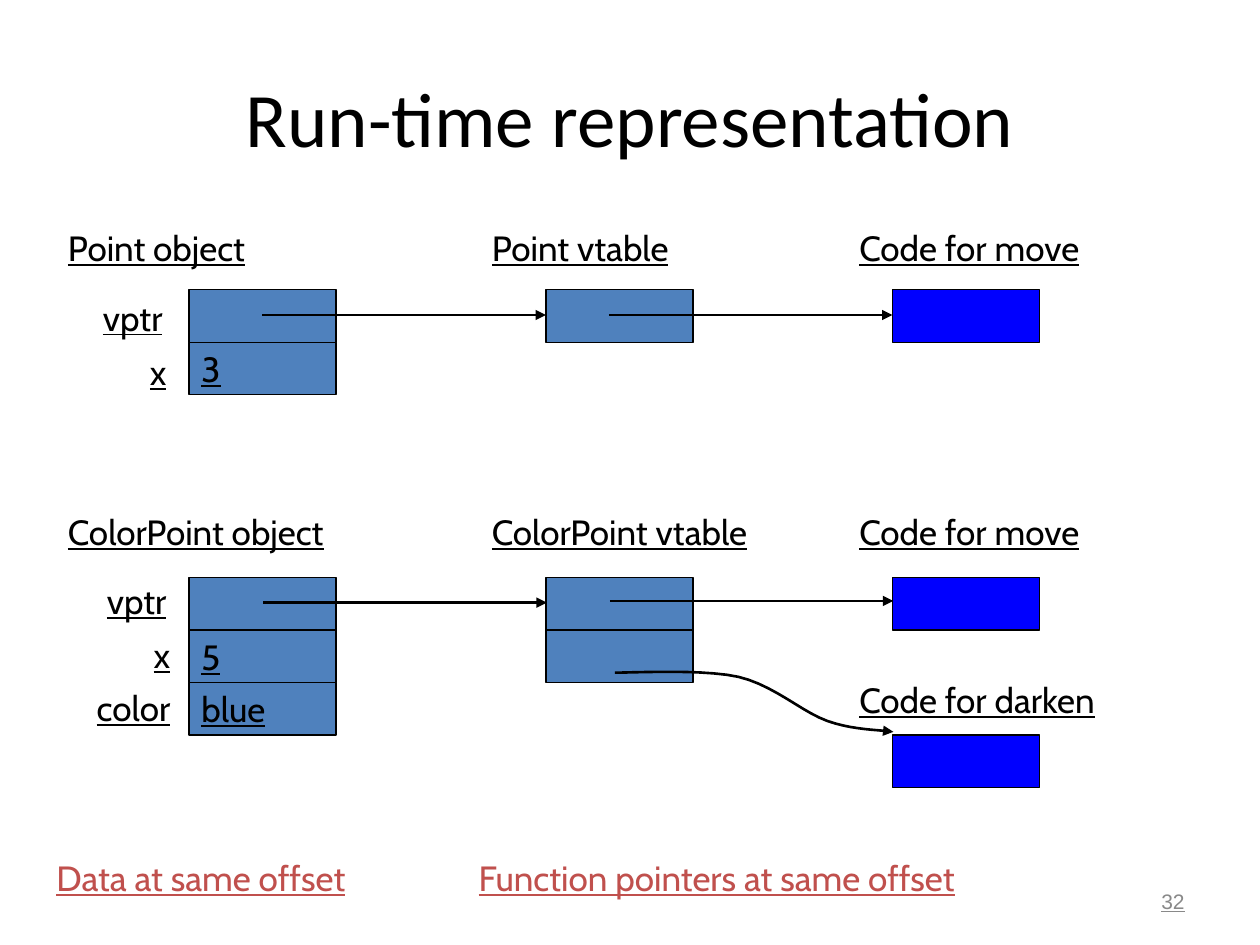
from lxml.etree import SubElement
from pptx import Presentation
from pptx.dml.color import RGBColor
from pptx.enum.shapes import MSO_CONNECTOR, MSO_SHAPE
from pptx.enum.text import MSO_ANCHOR, PP_ALIGN
from pptx.oxml.ns import qn
from pptx.util import Pt

COLORS = {
    "ink": "000000",
    "data": "4F81BD",
    "code": "0000FF",
    "note": "C0504D",
    "number": "898989",
}
CELL_WIDTH, CELL_HEIGHT = 84, 30
LABEL_HEIGHT = 32
OBJECT_X, VTABLE_X, CODE_X = 108, 312, 510
POINT_Y, COLOR_POINT_Y = 165.6, 330


def color(name):
    return RGBColor.from_string(COLORS[name])


def bezier(start, first, second, end, steps=10):
    """Points along a cubic curve, without its start."""
    for step in range(1, steps + 1):
        t = step / steps
        weights = ((1 - t) ** 3, 3 * t * (1 - t) ** 2, 3 * t * t * (1 - t), t ** 3)
        yield tuple(
            sum(weight * value for weight, value in zip(weights, values))
            for values in zip(start, first, second, end)
        )


class Diagram:
    def __init__(self, page):
        self.shapes = page.shapes
        self.font = "Cabin"
        self.size = 20

    def set_text(self, shape, text, font=None, size=None, ink="ink", underline=True,
                 align=PP_ALIGN.LEFT, anchor=MSO_ANCHOR.TOP):
        frame = shape.text_frame
        frame.word_wrap = True
        frame.vertical_anchor = anchor
        para = frame.paragraphs[0]
        para.alignment = align
        span = para.add_run()
        span.text = text
        span.font.name = font or self.font
        span.font.size = Pt(size or self.size)
        span.font.underline = underline
        span.font.color.rgb = color(ink)

    def label(self, text, x, y, width, height=LABEL_HEIGHT, **style):
        box = self.shapes.add_textbox(Pt(x), Pt(y), Pt(width), Pt(height))
        self.set_text(box, text, **style)

    def cell(self, x, y, fill="data", text=""):
        box = self.shapes.add_shape(
            MSO_SHAPE.RECTANGLE, Pt(x), Pt(y), Pt(CELL_WIDTH), Pt(CELL_HEIGHT))
        box.shadow.inherit = False
        box.fill.solid()
        box.fill.fore_color.rgb = color(fill)
        box.line.color.rgb = color("ink")
        box.line.width = Pt(0.75)
        if text:
            self.set_text(box, text, anchor=MSO_ANCHOR.MIDDLE)

    def column(self, x, y, values):
        for row, value in enumerate(values):
            self.cell(x, y + row * CELL_HEIGHT, text=value)

    def arrow_line(self, shape):
        shape.line.color.rgb = color("ink")
        shape.line.width = Pt(1.5)
        outline = shape.element.spPr.find(qn("a:ln"))
        SubElement(outline, qn("a:tailEnd"), type="triangle")

    def arrow(self, x, y, length=162):
        line = self.shapes.add_connector(
            MSO_CONNECTOR.STRAIGHT, Pt(x), Pt(y), Pt(x + length), Pt(y))
        self.arrow_line(line)
        SubElement(line.element.spPr, qn("a:effectLst"))

    def curved_arrow(self, start, segments):
        points = []
        corner = start
        for first, second, end in segments:
            points.extend(bezier(corner, first, second, end))
            corner = end
        builder = self.shapes.build_freeform(Pt(start[0]), Pt(start[1]))
        builder.add_line_segments([(Pt(x), Pt(y)) for x, y in points], close=False)
        curve = builder.convert_to_shape()
        curve.shadow.inherit = False
        curve.fill.background()
        self.arrow_line(curve)


def main():
    deck = Presentation()
    deck.slide_width, deck.slide_height = Pt(720), Pt(540)
    page = deck.slides.add_slide(deck.slide_layouts[6])
    diagram = Diagram(page)

    # Title
    diagram.label("Run-time representation", 36, 21.6, 648, 90, font="Calibri", size=44,
                  underline=False, align=PP_ALIGN.CENTER, anchor=MSO_ANCHOR.MIDDLE)

    # Memory cells
    diagram.column(OBJECT_X, POINT_Y, ["", "3"])
    diagram.column(OBJECT_X, COLOR_POINT_Y, ["", "5", "blue"])
    diagram.column(VTABLE_X, POINT_Y, [""])
    diagram.column(VTABLE_X, COLOR_POINT_Y, ["", ""])
    for y in (POINT_Y, COLOR_POINT_Y, COLOR_POINT_Y + 3 * CELL_HEIGHT):
        diagram.cell(CODE_X, y, "code")

    # Headings
    for name, y in (("Point", 126), ("ColorPoint", 288)):
        diagram.label(f"{name} object", 31.75, y, 196)
        diagram.label(f"{name} vtable", 274, y, 174)
        diagram.label("Code for move", 484, y, 160)
    diagram.label("Code for darken", 484, 384, 160)

    # Field names, right-aligned beside the objects
    for text, y, right in (
        ("vptr", 165.6, 100), ("x", 196.6, 102.25),
        ("vptr", 327.6, 102.25), ("x", 358.6, 104.4), ("color", 388.6, 104.4),
    ):
        diagram.label(text, right - 66, y, 66, align=PP_ALIGN.RIGHT)

    # Pointers
    for x, y in ((150, 180), (348, 180), (150.5, 344.4), (348.5, 343.4)):
        diagram.arrow(x, y)
    diagram.curved_arrow((351.4, 384.4), [
        ((363, 384.4), (401.8, 382.3), (421.9, 386.8)),
        ((442, 391.5), (457.9, 406.6), (472.5, 411.9)),
        ((487.2, 417.2), (502.4, 417), (510.5, 418.2)),
    ])

    # Notes and page number
    diagram.label("Data at same offset", 25.2, 486, 197, ink="note")
    diagram.label("Function pointers at same offset", 266.4, 486, 318, ink="note")
    diagram.label("32", 516, 500.5, 168, 28.75, font="Arial", size=12, ink="number",
                  align=PP_ALIGN.RIGHT, anchor=MSO_ANCHOR.MIDDLE)

    deck.save("out.pptx")


if __name__ == "__main__":
    main()
